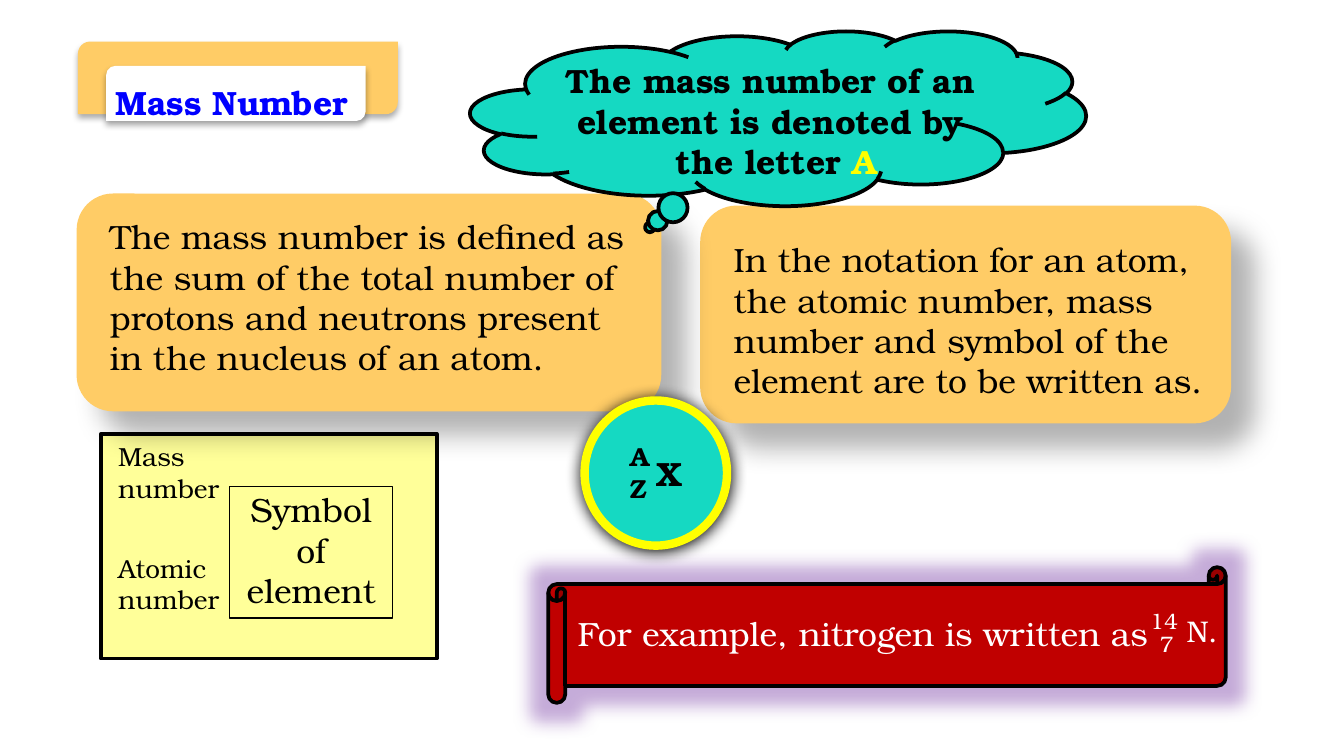
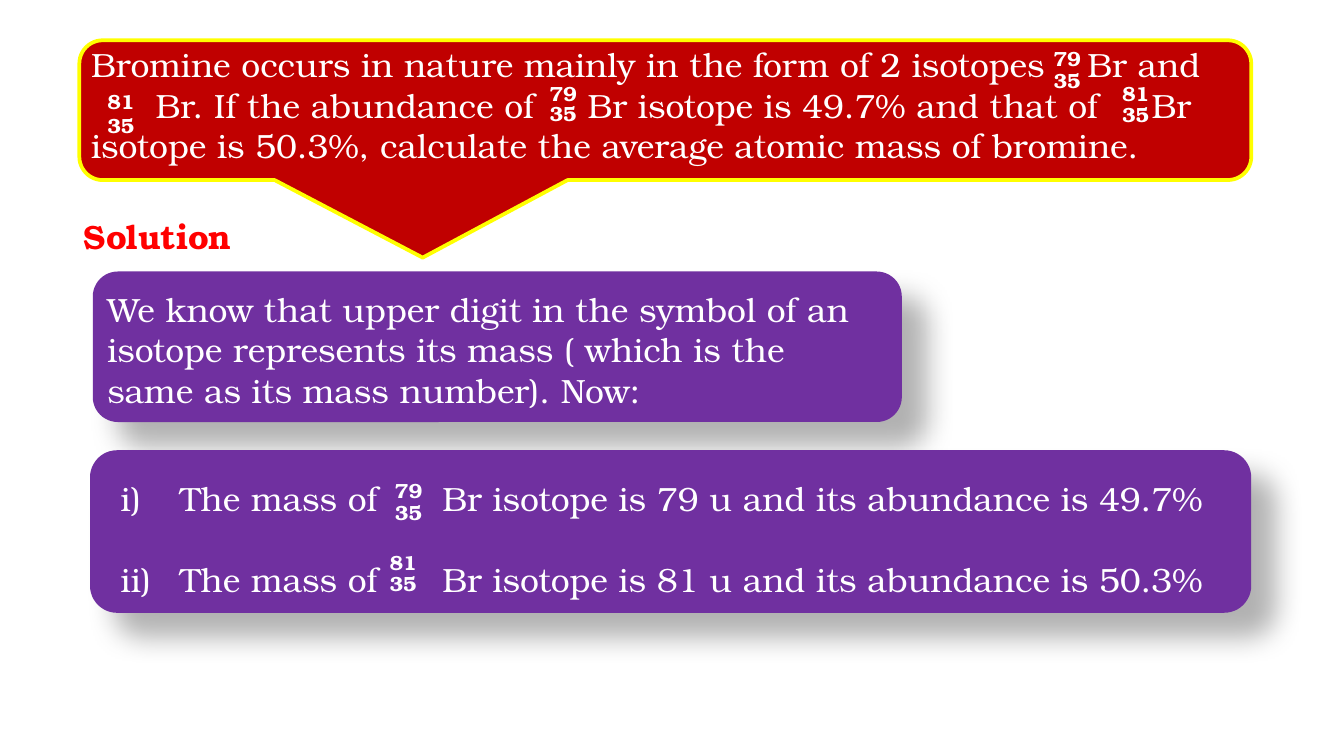
from lxml.etree import SubElement
from pptx import Presentation
from pptx.dml.color import RGBColor
from pptx.enum.shapes import MSO_SHAPE as Preset
from pptx.enum.text import MSO_ANCHOR as Anchor, MSO_AUTO_SIZE as AutoSize, PP_ALIGN as Align
from pptx.oxml.ns import qn
from pptx.util import Inches, Pt

# Shared style
FONT = "TeX Gyre Bonum"
BLACK, WHITE, YELLOW = "000000", "FFFFFF", "FFFF00"
ORANGE, TEAL, RED, PURPLE = "FFCC66", "15D9C2", "C00000", "7030A0"
# Shadows: opacity %, blur pt, distance pt, angle
CARD_SHADOW = (30, 15, 18, 45)
TITLE_SHADOW = (32, 3.5, 2.2, 90)
BADGE_SHADOW = (100, 8.5, 1, 90)


def rgb(code):
    return RGBColor.from_string(code)


def inside(box, dx, dy, width, height):
    """A box placed relative to the corner of another one."""
    return box[0] + dx, box[1] + dy, width, height


def add_effect(shape, tag, color, opacity, **attributes):
    effects = shape._element.spPr.find(qn("a:effectLst"))
    effect = SubElement(effects, qn(tag))
    for key, value in attributes.items():
        effect.set(key, str(int(value)))
    tint = SubElement(effect, qn("a:srgbClr"), val=color)
    SubElement(tint, qn("a:alpha"), val=str(opacity * 1000))


def add_panel(slide, preset, box, fill=None, line=None, weight=2, shadow=None):
    panel = slide.shapes.add_shape(preset, *map(Inches, box))
    if fill:
        panel.fill.solid()
        panel.fill.fore_color.rgb = rgb(fill)
    else:
        panel.fill.background()
    if line:
        panel.line.color.rgb = rgb(line)
        panel.line.width = Pt(weight)
    else:
        panel.line.fill.background()
    panel.shadow.inherit = False
    if shadow:
        opacity, blur, distance, angle = shadow
        add_effect(panel, "a:outerShdw", BLACK, opacity, blurRad=Pt(blur),
                   dist=Pt(distance), dir=angle * 60000, rotWithShape=0)
    return panel


def fill_line(paragraph, parts):
    """Strings become runs; a number widens the space between two of them."""
    for part in parts:
        run = paragraph.add_run()
        if isinstance(part, str):
            run.text = part
        else:
            run.text = " "
            run._r.get_or_add_rPr().set("spc", str(part * 100))


def number_line(paragraph, color):
    properties = paragraph._p.get_or_add_pPr()
    properties.set("marL", str(Inches(0.44)))
    properties.set("indent", str(Inches(-0.44)))
    bullet_color = SubElement(properties, qn("a:buClr"))
    SubElement(bullet_color, qn("a:srgbClr"), val=color)
    SubElement(properties, qn("a:buFont"), typeface=FONT)
    SubElement(properties, qn("a:buAutoNum"), type="romanLcParenR")


def write(frame, lines, size=18, color=BLACK, bold=False, align=Align.LEFT,
          wrap=False, numbered=False):
    frame.word_wrap = wrap
    frame.auto_size = AutoSize.SHAPE_TO_FIT_TEXT
    frame.vertical_anchor = Anchor.TOP
    for index, line in enumerate(lines):
        paragraph = frame.add_paragraph() if index else frame.paragraphs[0]
        fill_line(paragraph, [line] if isinstance(line, str) else line)
        paragraph.alignment = align
        if numbered:
            number_line(paragraph, color)
        font = paragraph.font
        font.name, font.size, font.bold = FONT, Pt(size), bold
        font.color.rgb = rgb(color)
    return frame


def add_text(slide, box, lines, **style):
    label = slide.shapes.add_textbox(*map(Inches, box))
    return write(label.text_frame, lines, **style)


def place_title(slide, box, text, color, align=Align.LEFT):
    title = slide.shapes.title
    title.left, title.top, title.width, title.height = map(Inches, box)
    write(title.text_frame, [text], color=color, bold=True, align=align)
    # Bring the title in front of its band
    slide.shapes._spTree.append(title._element)


def add_card(slide, box, fill, text_box, lines, **style):
    add_panel(slide, Preset.ROUNDED_RECTANGLE, box, fill, shadow=CARD_SHADOW)
    return add_text(slide, inside(box, *text_box), lines, **style)


# Slide 1 regions
def add_symbol_key(slide, box):
    add_panel(slide, Preset.FLOWCHART_PROCESS, box, "FFFF99", BLACK)
    add_panel(slide, Preset.RECTANGLE, inside(box, 0.96, 0.39, 1.21, 0.98),
              line=BLACK, weight=0.75)
    add_text(slide, inside(box, 0.69, 0.36, 1.75, 1.01),
             ["Symbol", " of ", "element"], align=Align.CENTER, wrap=True)
    for dy, kind in ((0, "Mass"), (0.83, "Atomic")):
        add_text(slide, inside(box, 0.03, dy, 1.02, 0.57), [kind, "number"], size=14)


def add_example_scroll(slide, box):
    scroll = add_panel(slide, Preset.HORIZONTAL_SCROLL, box, RED, BLACK)
    add_effect(scroll, "a:glow", PURPLE, 40, rad=Pt(18))
    for dx, dy, width, height, text, size in (
            (0.12, 0.29, 5.04, 0.4, "For example, nitrogen is written as", 18),
            (4.38, 0.25, 0.45, 0.3, "14", 12),
            (4.45, 0.42, 0.34, 0.3, "7", 12),
            (4.65, 0.29, 0.48, 0.37, "N.", 16)):
        add_text(slide, inside(box, dx, dy, width, height), [text],
                 size=size, color=WHITE)


def add_title_band(slide, box):
    for part, fill in ((box, ORANGE), (inside(box, 0.21, 0.18, 1.93, 0.41), WHITE)):
        add_panel(slide, Preset.ROUND_2_DIAG_RECTANGLE, part, fill, shadow=TITLE_SHADOW)
    place_title(slide, inside(box, 0.18, 0.25, 1.96, 0.4), "Mass Number", "0000FF")


def add_letter_cloud(slide, box):
    add_panel(slide, Preset.CLOUD_CALLOUT, box, TEAL, BLACK)
    frame = add_text(slide, inside(box, 0.59, 0.17, 3.37, 1.01),
                     ["The mass number of an ", "element is denoted by ",
                      ("the letter ", "A")], bold=True, align=Align.CENTER)
    frame.paragraphs[-1].runs[-1].font.color.rgb = rgb(YELLOW)


def add_notation_badge(slide, box):
    add_panel(slide, Preset.OVAL, box, TEAL, YELLOW, 4.5, BADGE_SHADOW)
    add_text(slide, inside(box, 0.24, 0.25, 0.39, 0.57), ["A", "Z"], size=14, bold=True)
    add_text(slide, inside(box, 0.44, 0.34, 0.4, 0.4), ["X"], bold=True)


def build_mass_number(slide):
    add_card(slide, (5.21, 1.53, 3.95, 1.62), ORANGE, (0.15, 0.2, 3.72, 1.31),
             ["In the notation for an atom,", "the atomic number, mass",
              "number and symbol of the", "element are to be written as."])
    add_symbol_key(slide, (0.75, 3.23, 2.5, 1.67))
    add_example_scroll(slide, (4.08, 4.22, 5.04, 1.01))
    add_card(slide, (0.57, 1.44, 4.35, 1.62), ORANGE, (0.15, 0.12, 4.07, 1.31),
             ["The mass number is defined as", "the sum of the total number of",
              "protons and neutrons present", "in the nucleus of an atom."])
    add_title_band(slide, (0.58, 0.31, 2.38, 0.54))
    add_letter_cloud(slide, (3.5, 0.23, 4.58, 1.3))
    add_notation_badge(slide, (4.35, 2.98, 1.06, 1.08))


# Slide 2 regions
def add_bromine_numbers(slide, box, places):
    """Mass number above atomic number at each place in the box."""
    for dx, dy, mass, drop in places:
        for number, shift in ((mass, 0), ("35", drop)):
            add_text(slide, inside(box, dx, dy + shift, 0.41, 0.29), [number],
                     size=11, color=WHITE, bold=True)


def add_question(slide, box):
    callout = add_panel(slide, Preset.ROUNDED_RECTANGULAR_CALLOUT, box, RED, YELLOW)
    for index, value in enumerate((-0.207, 1.055, 0.167)):
        callout.adjustments[index] = value
    frame = add_text(
        slide, inside(box, -0.01, -0.02, 8.56, 1.01),
        [("Bromine occurs in nature mainly in the form of 2 isotopes", 17, "Br and"),
         ("Br. If the abundance of", 23, "Br isotope is 49.7% and that of", 23, "Br"),
         "isotope is 50.3%, calculate the average atomic mass of bromine."],
        color=WHITE)
    # Room for the numbers that open the second line
    frame.paragraphs[1]._p.get_or_add_pPr().set("marL", str(Inches(0.48)))
    add_bromine_numbers(slide, box, ((7.15, -0.01, "79", 0.17), (0.11, 0.31, "81", 0.18),
                                     (3.4, 0.25, "79", 0.15), (7.66, 0.25, "81", 0.16)))


def add_isotope_list(slide, box):
    frame = add_card(slide, box, PURPLE, (0.13, 0.16, 8.33, 1.01),
                     [("The mass of", 29, f"Br isotope is {mass} u and its abundance is {share}%")
                      for mass, share in ((79, 49.7), (81, 50.3))],
                     color=WHITE, numbered=True)
    frame.paragraphs[1].space_before = Pt(21.6)
    add_bromine_numbers(slide, box, ((2.17, 0.16, "79", 0.16), (2.13, 0.69, "81", 0.16)))


def build_solution(slide):
    add_card(slide, (0.69, 2.02, 6.02, 1.12), PURPLE, (0.01, 0.08, 5.84, 1.01),
             ["We know that upper digit in the symbol of an isotope represents "
              "its mass ( which is the same as its mass number). Now:"],
             color=WHITE, wrap=True)
    add_question(slide, (0.59, 0.3, 8.72, 1.04))
    add_isotope_list(slide, (0.67, 3.35, 8.64, 1.21))
    place_title(slide, (0.52, 1.56, 1.31, 0.4), "Solution", "FF0000", Align.CENTER)


def main():
    deck = Presentation()
    # Widescreen, 16 to 9
    deck.slide_width = Inches(10)
    deck.slide_height = deck.slide_width * 9 // 16
    title_only = deck.slide_layouts[5]
    for build in (build_mass_number, build_solution):
        build(deck.slides.add_slide(title_only))
    deck.save("out.pptx")


if __name__ == "__main__":
    main()
